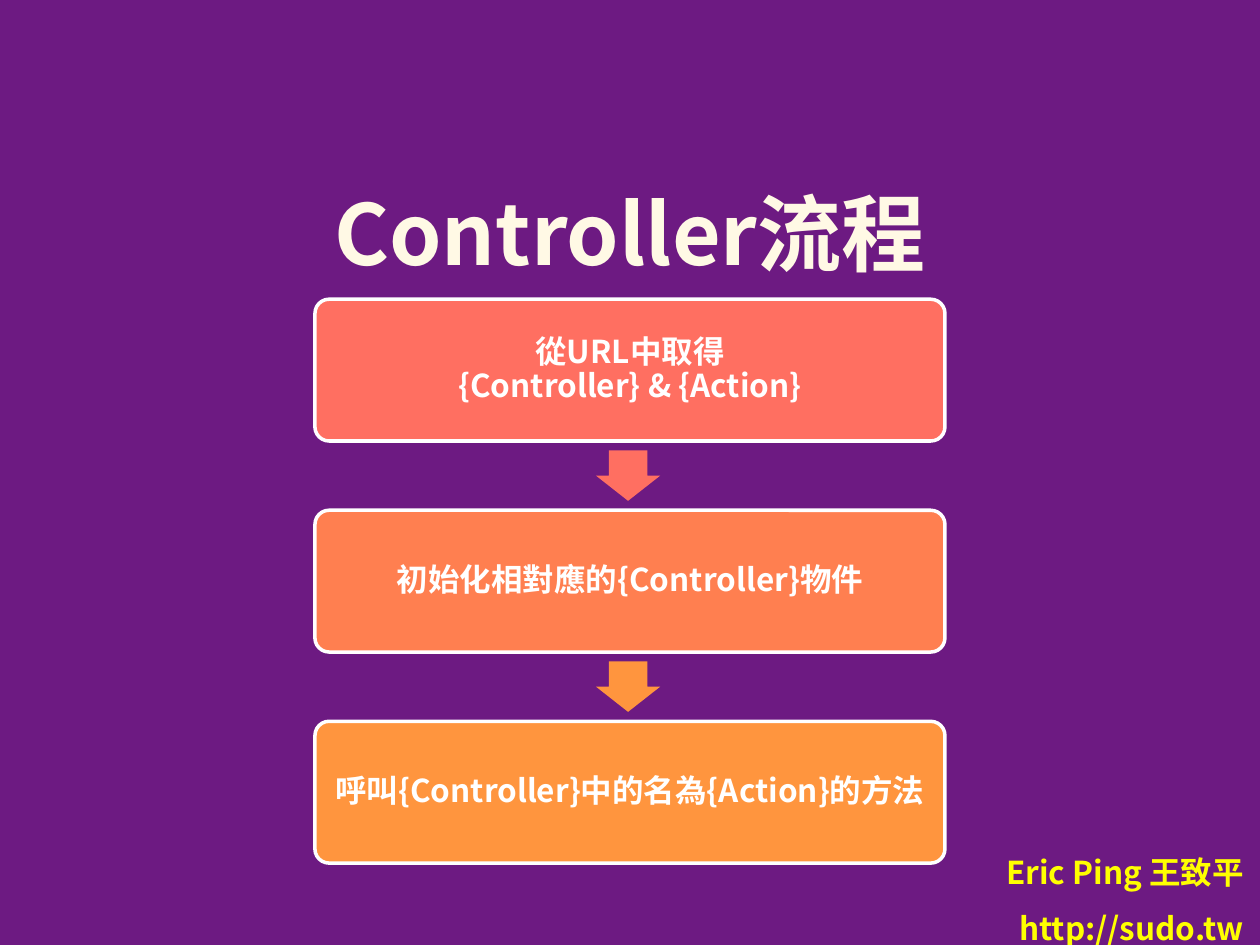
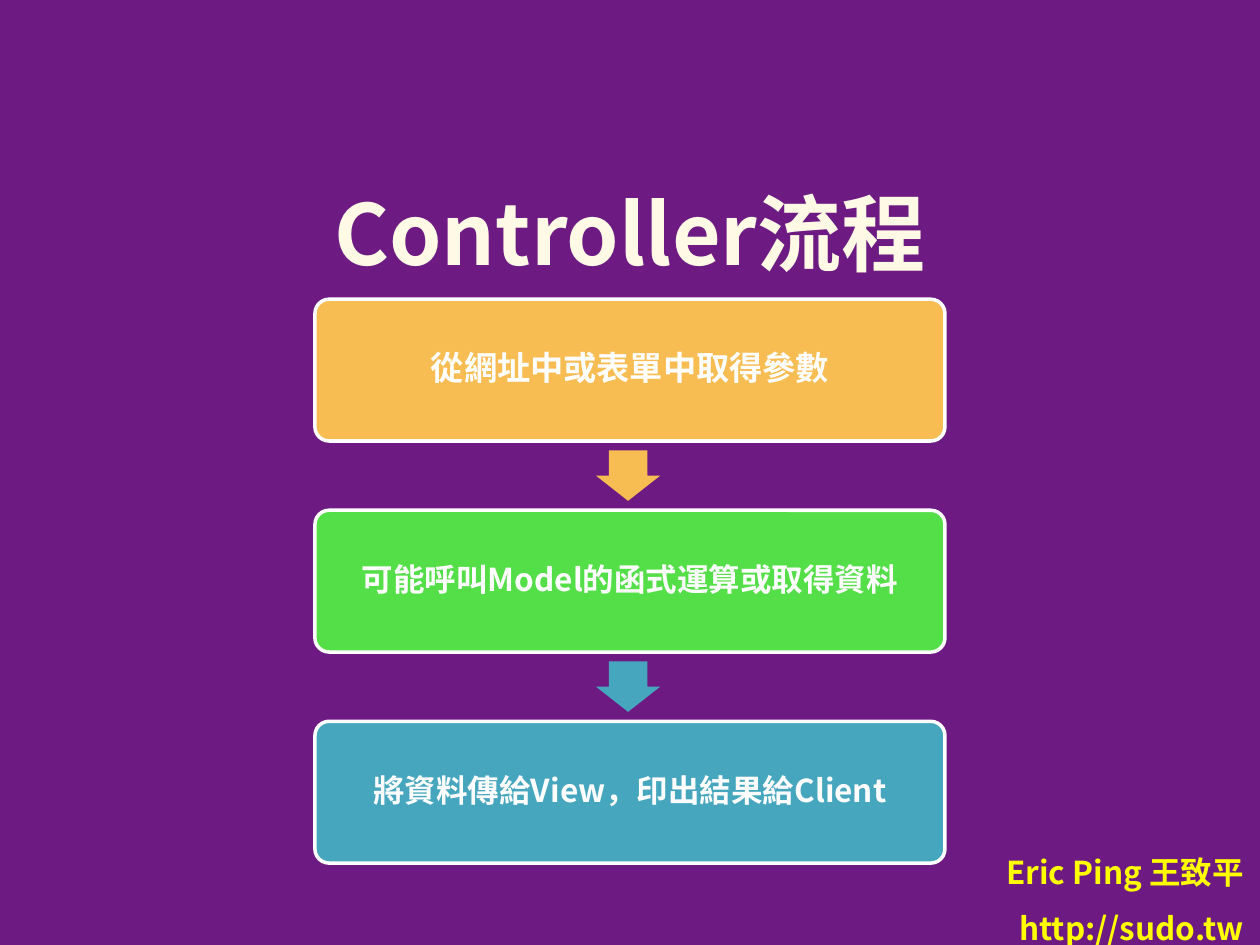
from lxml import etree
from pptx import Presentation
from pptx.dml.color import RGBColor
from pptx.enum.shapes import MSO_SHAPE
from pptx.enum.text import MSO_ANCHOR, PP_ALIGN
from pptx.oxml.ns import qn
from pptx.util import Inches, Pt

BOX, ARROW = MSO_SHAPE.ROUNDED_RECTANGLE, MSO_SHAPE.DOWN_ARROW
MID, LOW = MSO_ANCHOR.MIDDLE, MSO_ANCHOR.BOTTOM
CENTER, RIGHT = PP_ALIGN.CENTER, PP_ALIGN.RIGHT
FONT = "Noto Sans CJK SC"
PURPLE, CREAM, YELLOW, WHITE = "6D1A82", "FFF9E5", "FFFF00", "FFFFFF"

flows = [
    [("從URL中取得\v{Controller} & {Action}", "FF6F61", 18),
     ("初始化相對應的{Controller}物件", "FF7F50", 18),
     ("呼叫{Controller}中的名為{Action}的方法", "FF953E", 18)],
    [("從網址中或表單中取得參數", "F8BD52", 19),
     ("可能呼叫Model的函式運算或取得資料", "54DE48", 18),
     ("將資料傳給View，印出結果給Client", "46A6BD", 18)],
]

deck = Presentation()
deck.slide_width, deck.slide_height = Inches(10), Inches(7.5)
col, row = deck.slide_width / 100, deck.slide_height / 300


def paint(target, tint):
    target.solid()
    target.fore_color.rgb = RGBColor.from_string(tint)


def write(shape, text, size, tint, align, anchor, pad, lead=1.0, gap=0):
    frame = shape.text_frame
    frame.word_wrap = True
    frame.vertical_anchor = anchor
    frame.margin_left = frame.margin_right = Inches(pad[0])
    frame.margin_top = frame.margin_bottom = Inches(pad[1])
    frame.text = text
    for i, para in enumerate(frame.paragraphs):
        para.alignment = align
        para.line_spacing = lead
        para.space_before = Pt(gap if i else 0)
        for run in para.runs:
            font = run.font
            font.name, font.size, font.bold = FONT, Pt(size), True
            paint(font.fill, tint)
            east = etree.SubElement(run._r.get_or_add_rPr(), qn("a:ea"))
            east.set("typeface", FONT)


paint(deck.slide_master.background.fill, PURPLE)
left, top, wide, high, step = 25, 95, 50, 45, 67

for flow in flows:
    slide = deck.slides.add_slide(deck.slide_layouts[6])
    shapes = slide.shapes

    foot = shapes.add_textbox(int(60.9 * col), int(265 * row), int(38.8 * col), int(37.4 * row))
    write(foot, "Eric Ping 王致平\nhttp://sudo.tw", 18, YELLOW, RIGHT, LOW, (0.1, 0.05), gap=10)
    title = shapes.add_textbox(int(5 * col), int(23 * row), int(90 * col), int(67 * row))
    write(title, "Controller流程", 48, CREAM, CENTER, LOW, (0, 0.01))

    for i, (text, tint, size) in enumerate(flow):
        y = top + i * step
        if i:
            arrow = shapes.add_shape(ARROW, int(47.3 * col), int((y - 19) * row), int(5.1 * col), int(16 * row))
            arrow.adjustments[0], arrow.adjustments[1] = 0.6, 0.5
            arrow.shadow.inherit = False
            paint(arrow.fill, flow[0][1] if i == 1 else tint)
            arrow.line.fill.background()
        box = shapes.add_shape(BOX, int(left * col), int(y * row), int(wide * col), int(high * row))
        box.adjustments[0] = 0.1
        box.shadow.inherit = False
        paint(box.fill, tint)
        paint(box.line.fill, WHITE)
        box.line.width = Pt(2)
        write(box, text, size, WHITE, CENTER, MID, (0.07, 0.07), lead=0.9)

deck.save("out.pptx")
